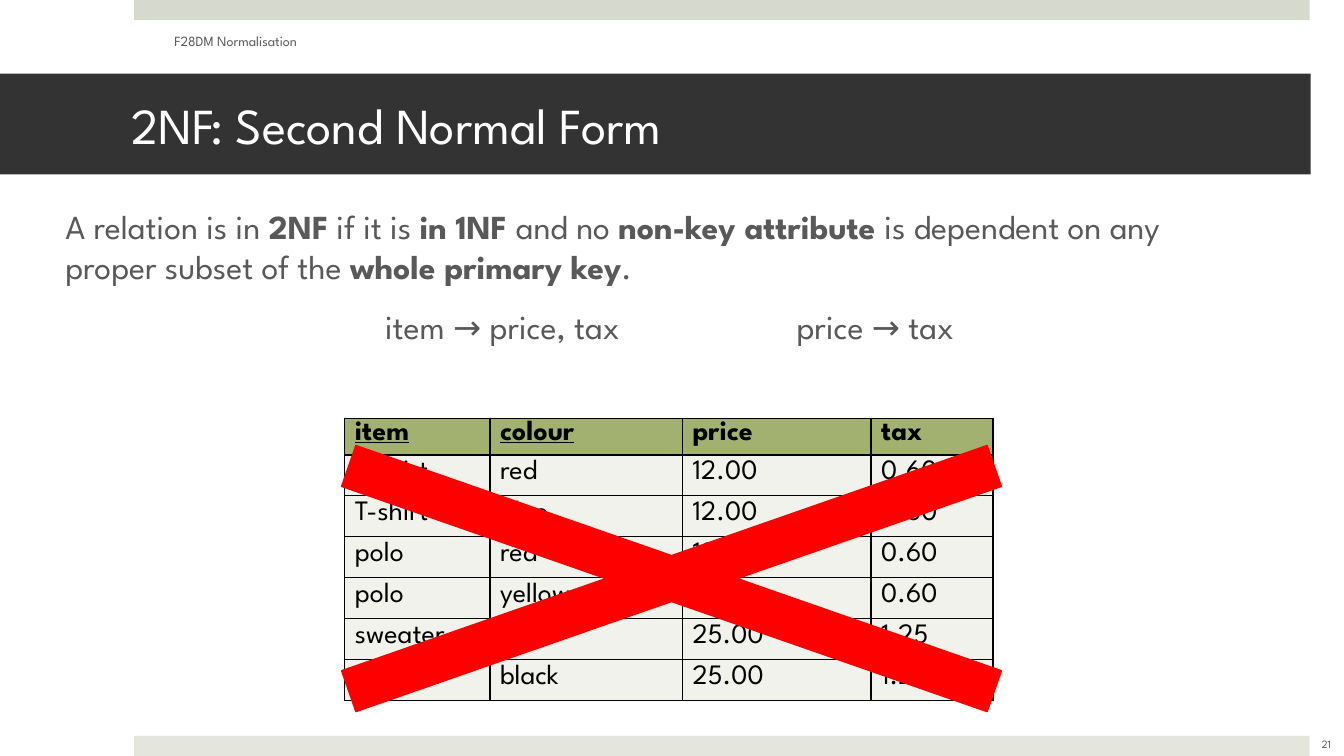
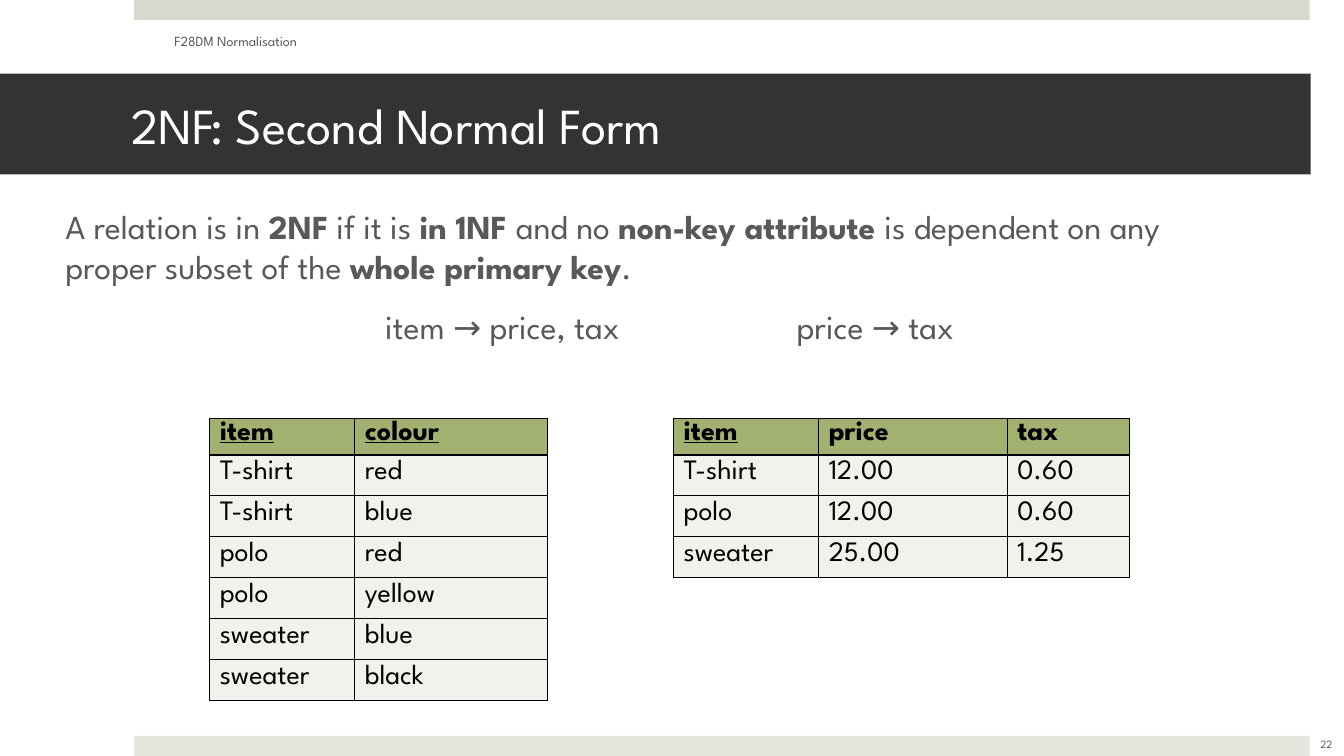
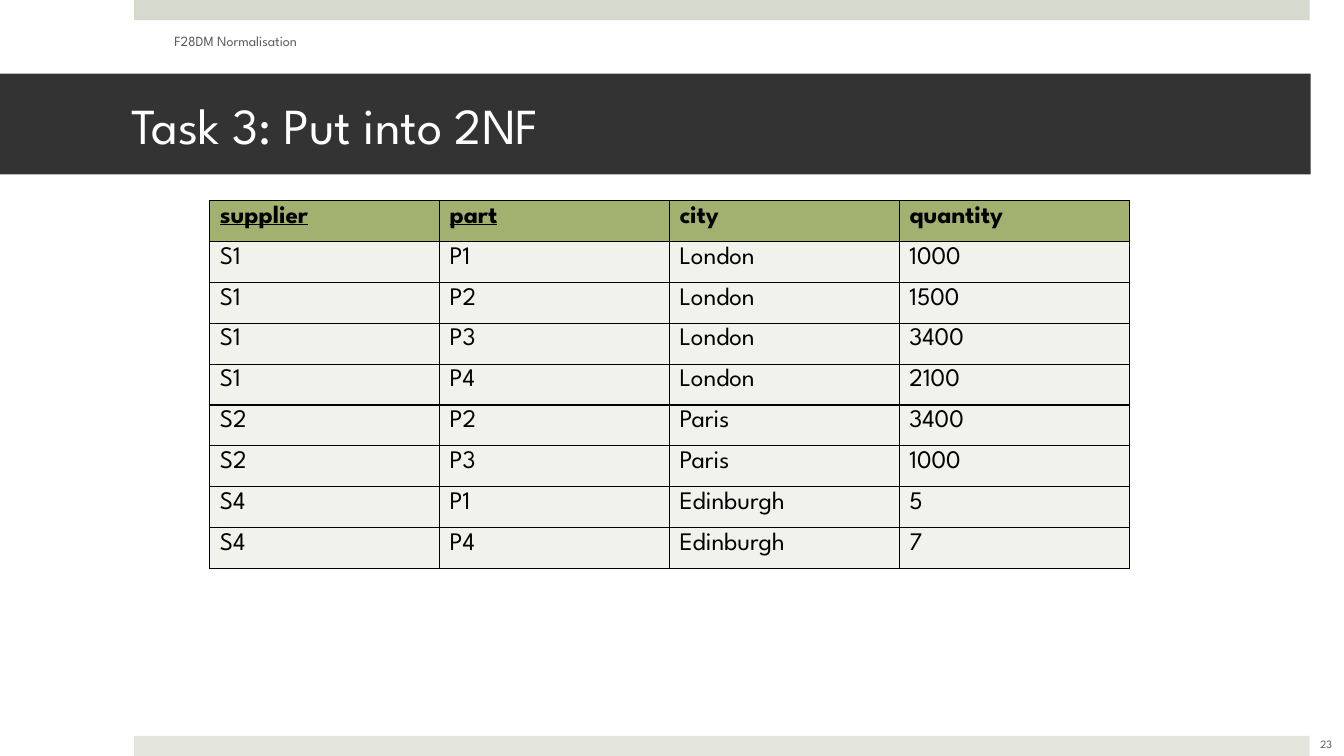
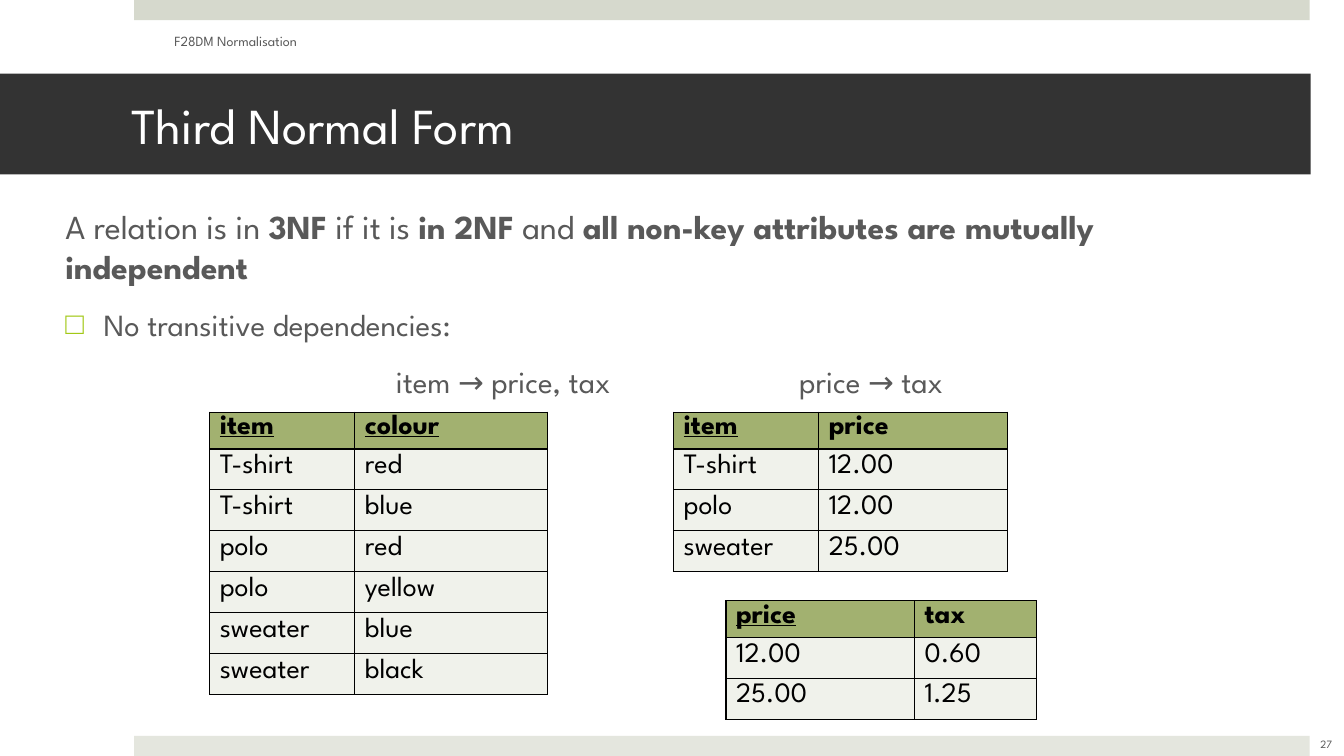
from lxml.etree import SubElement as Sub
from pptx import Presentation
from pptx.dml.color import RGBColor
from pptx.enum.shapes import MSO_SHAPE as Kind
from pptx.enum.text import MSO_ANCHOR as Anchor, PP_ALIGN as Align
from pptx.oxml.ns import qn
from pptx.util import Inches, Pt

DARK = RGBColor(0x33, 0x33, 0x33)
GREY = RGBColor(0x59, 0x59, 0x59)
WHITE = RGBColor(0xFF, 0xFF, 0xFF)
BLACK = RGBColor(0, 0, 0)
RED = RGBColor(0xFF, 0, 0)
LIME = RGBColor(0xA2, 0xC8, 0x16)
OLIVE = RGBColor(0xA2, 0xB1, 0x70)
PALE = RGBColor(0xF0, 0xF2, 0xEB)
TOP = RGBColor(0xD6, 0xD9, 0xCD)
BASE = RGBColor(0xE4, 0xE6, 0xDE)
FONT = "League Spartan"
HARD = chr(160)

HEAD = 0.13
ROW = 3.65 / 9
WIDTHS = {"item": 1.44, "colour": 1.91, "price": 1.87, "tax": 1.21}
STOCK = [
    ("T-shirt", "red", "12.00", "0.60"),
    ("T-shirt", "blue", "12.00", "0.60"),
    ("polo", "red", "12.00", "0.60"),
    ("polo", "yellow", "12.00", "0.60"),
    ("sweater", "blue", "25.00", "1.25"),
    ("sweater", "black", "25.00", "1.25"),
]
PARTS = [
    ("S1", "P1", "London", "1000"),
    ("S1", "P2", "London", "1500"),
    ("S1", "P3", "London", "3400"),
    ("S1", "P4", "London", "2100"),
    ("S2", "P2", "Paris", "3400"),
    ("S2", "P3", "Paris", "1000"),
    ("S4", "P1", "Edinburgh", "5"),
    ("S4", "P4", "Edinburgh", "7"),
]
SECOND = [
    ("A relation is in *2NF* if it is *in 1NF *and no *non-key attribute *is "
     f"dependent on any proper{HARD}subset{HARD}of the *whole primary key*.",
     24, "left"),
    ("item → price, tax\t price → tax", 24, "center"),
]
THIRD = [
    ("A relation is in *3NF* if it is *in 2NF* and "
     "*all non-key attributes are mutually independent*", 24, "left"),
    ("No transitive dependencies:", 22, "bullet"),
    ("item → price, tax\tprice → tax", 22, "center"),
]


def place(box):
    return [Inches(n) for n in box]


def write(para, text, size, color, bold=False, under=False):
    run = para.add_run()
    run.text = text
    font = run.font
    font.name, font.size, font.bold, font.underline = FONT, Pt(size), bold, under
    font.color.rgb = color


def block(slide, kind, box, fill, line=None):
    shape = slide.shapes.add_shape(kind, *place(box))
    shape.shadow.inherit = False
    shape.fill.solid()
    shape.fill.fore_color.rgb = fill
    if line:
        shape.line.color.rgb = line
        shape.line.width = Pt(1)
    else:
        shape.line.fill.background()
    return shape


def label(slide, box, text, size, align):
    frame = slide.shapes.add_textbox(*place(box)).text_frame
    frame.word_wrap = True
    frame.vertical_anchor = Anchor.MIDDLE
    para = frame.paragraphs[0]
    para.alignment = align
    write(para, text, size, GREY)


def banner(slide, box, text):
    frame = block(slide, Kind.RECTANGLE, box, DARK).text_frame
    frame.word_wrap = True
    frame.margin_left, frame.margin_right = Inches(1.3), Inches(0.3)
    frame.vertical_anchor = Anchor.MIDDLE
    para = frame.paragraphs[0]
    para.alignment = Align.LEFT
    write(para, text, 36, WHITE)


def page(deck, title, number):
    slide = deck.slides.add_slide(deck.slide_layouts[6])
    for top, color in ((0, TOP), (7.3, BASE)):
        block(slide, Kind.RECTANGLE, (1.33, top, 11.66, 0.2), color)
    banner(slide, (0, 0.73, 13, 1), title)
    label(slide, (1.63, 0.21, 4.22, 0.4), "F28DM Normalisation", 10, Align.LEFT)
    label(slide, (12.82, 7.18, 0.67, 0.4), str(number), 8, Align.CENTER)
    return slide


def bullet(para):
    props = para._p.get_or_add_pPr()
    props.set("marL", str(Inches(0.38)))
    props.set("indent", str(-Inches(0.38)))
    Sub(Sub(props, qn("a:buClr")), qn("a:srgbClr"), val=str(LIME))
    Sub(props, qn("a:buFont"), typeface="Arial")
    Sub(props, qn("a:buChar"), char="□")


def stop(para, at):
    tabs = Sub(para._p.get_or_add_pPr(), qn("a:tabLst"))
    Sub(tabs, qn("a:tab"), pos=str(Inches(at)), algn="l")


def body(slide, box, paras):
    frame = slide.shapes.add_textbox(*place(box)).text_frame
    frame.word_wrap = True
    for i, (text, size, style) in enumerate(paras):
        para = frame.add_paragraph() if i else frame.paragraphs[0]
        if style == "bullet":
            bullet(para)
        if "\t" in text:
            stop(para, 4)
        para.alignment = Align.CENTER if style == "center" else Align.LEFT
        if i:
            para.space_before = Pt(14)
        for j, part in enumerate(text.split("*")):
            if part:
                write(para, part, size, GREY, bold=j % 2 == 1)


def border(cell):
    props = cell._tc.get_or_add_tcPr()
    for side in ("lnL", "lnR", "lnT", "lnB"):
        line = Sub(props, qn("a:" + side), w=str(Pt(1)))
        Sub(Sub(line, qn("a:solidFill")), qn("a:srgbClr"), val=str(BLACK))


def grid(slide, left, top, names, keys, rows, widths, head=HEAD, size=20):
    high = head + ROW * len(rows)
    box = place((left, top, sum(widths), high))
    table = slide.shapes.add_table(len(rows) + 1, len(names), *box).table
    table.first_row = table.horz_banding = False
    for col, width in zip(table.columns, widths):
        col.width = Inches(width)
    for r, texts in enumerate([names, *rows]):
        tall = ROW if r else head
        table.rows[r].height = Inches(tall)
        for c, text in enumerate(texts):
            cell = table.cell(r, c)
            border(cell)
            cell.margin_top = Inches(0.03 if tall == HEAD else 0.05)
            cell.margin_bottom = 0
            cell.fill.solid()
            cell.fill.fore_color.rgb = PALE if r else OLIVE
            write(cell.text_frame.paragraphs[0], text, size, BLACK,
                  bold=r == 0, under=r == 0 and text in keys)


def stock(slide, left, top, names, keys):
    order = list(WIDTHS)
    picks = [order.index(name) for name in names]
    rows = list(dict.fromkeys(tuple(row[i] for i in picks) for row in STOCK))
    grid(slide, left, top, names, keys, rows, [WIDTHS[name] for name in names])


def main():
    deck = Presentation()
    deck.slide_width, deck.slide_height = Inches(13.33), Inches(7.5)
    area = (0.55, 1.99, 12.18, 5.19)
    pair = ["item", "colour"]

    slide = page(deck, "2NF: Second Normal Form", 21)
    body(slide, area, SECOND)
    stock(slide, 3.42, 4.15, list(WIDTHS), pair)
    cross = block(slide, Kind.MATH_MULTIPLY, (0.5, 3.59, 12.32, 4.3), RED, RED)
    cross.adjustments[0] = 0.1

    slide = page(deck, "2NF: Second Normal Form", 22)
    body(slide, area, SECOND)
    stock(slide, 6.68, 4.15, ["item", "price", "tax"], ["item"])
    stock(slide, 2.08, 4.15, pair, pair)

    slide = page(deck, "Task 3: Put into 2NF", 23)
    grid(slide, 2.08, 1.99, ["supplier", "part", "city", "quantity"],
         ["supplier", "part"], PARTS, [2.28] * 4, head=ROW, size=18)

    slide = page(deck, "Third Normal Form", 27)
    body(slide, area, THIRD)
    stock(slide, 6.68, 4.09, ["item", "price"], ["item"])
    stock(slide, 2.08, 4.09, pair, pair)
    stock(slide, 7.2, 5.96, ["price", "tax"], ["price"])

    deck.save("out.pptx")


if __name__ == "__main__":
    main()
